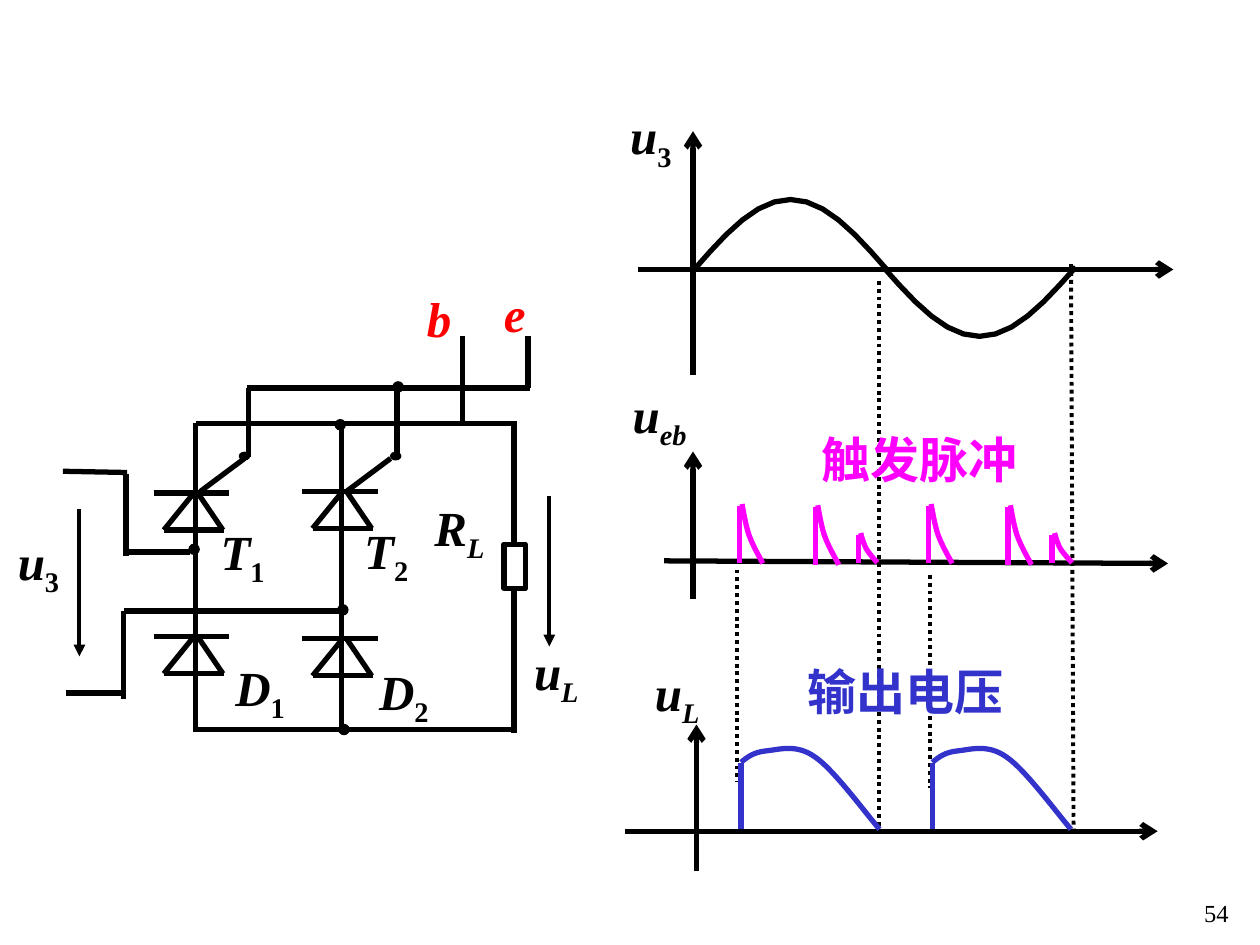
from math import pi, sin

from lxml import etree
from pptx import Presentation
from pptx.dml.color import RGBColor
from pptx.enum.dml import MSO_LINE
from pptx.enum.shapes import MSO_CONNECTOR, MSO_SHAPE
from pptx.enum.text import MSO_ANCHOR, MSO_AUTO_SIZE, PP_ALIGN
from pptx.oxml.ns import qn
from pptx.util import Pt

STRAIGHT = MSO_CONNECTOR.STRAIGHT
OVAL, RECTANGLE = MSO_SHAPE.OVAL, MSO_SHAPE.RECTANGLE
DOTTED = MSO_LINE.ROUND_DOT
TOP, MIDDLE = MSO_ANCHOR.TOP, MSO_ANCHOR.MIDDLE
LEFT, CENTER, RIGHT = PP_ALIGN.LEFT, PP_ALIGN.CENTER, PP_ALIGN.RIGHT
GROW, FIXED = MSO_AUTO_SIZE.SHAPE_TO_FIT_TEXT, MSO_AUTO_SIZE.NONE

COLORS = {name: RGBColor.from_string(value) for name, value in {
    "ink": "000000", "paper": "FFFFFF", "pulse": "FF00FF",
    "output": "3333CC", "terminal": "FF0000",
}.items()}

deck = Presentation()
deck.slide_width, deck.slide_height = Pt(720), Pt(540)
page = deck.slides.add_slide(deck.slide_layouts[6])


def add_label(text, left, top, width, height, sub="", color="ink", size=28, bold=True,
              italic=True, sub_italic=False, align=CENTER, anchor=MIDDLE, wrap=False, fit=GROW):
    box = page.shapes.add_textbox(Pt(left), Pt(top), Pt(width), Pt(height))
    frame = box.text_frame
    frame.word_wrap, frame.auto_size, frame.vertical_anchor = wrap, fit, anchor
    para = frame.paragraphs[0]
    para.alignment = align
    for part, slanted, baseline in ((text, italic, None), (sub, sub_italic, "-25000")):
        if not part:
            continue
        span = para.add_run()
        span.text = part
        font = span.font
        font.name, font.size, font.bold, font.italic = "Times New Roman", Pt(size), bold, slanted
        font.color.rgb = COLORS[color]
        if baseline:
            font._element.set("baseline", baseline)


def add_line(x1, y1, x2, y2, color="ink", width=3, dash=None, arrow=None):
    line = page.shapes.add_connector(STRAIGHT, Pt(x1), Pt(y1), Pt(x2), Pt(y2))
    line.line.color.rgb, line.line.width = COLORS[color], Pt(width)
    if dash:
        line.line.dash_style = dash
    if arrow:
        etree.SubElement(line.line._get_or_add_ln(), qn("a:tailEnd"), type=arrow)
    etree.SubElement(line._element.spPr, qn("a:effectLst"))


# Dotted guides between the three graphs
for ends in ((502.5, 160.5, 502.5, 475), (612, 151, 613.5, 475),
             (421, 325.5, 421, 447), (531.5, 328.5, 531.5, 450)):
    add_line(*ends, width=2.25, dash=DOTTED)

# Graph axes
for ends in ((364.5, 154, 670.5, 154), (396, 214.5, 396, 75),
             (379.5, 320.5, 667.5, 322), (396, 342, 396, 258),
             (357, 475, 661.5, 475), (398, 498, 398, 414)):
    add_line(*ends, arrow="arrow")

# Curves: (points, colour, whether the points are Bezier controls)
curves = []
for left, base, height in ((396.7, 154, -40), (504.7, 152.6, 39.6)):
    points = [(left + 110 * k / 12, base + height * sin(pi * k / 12)) for k in range(13)]
    curves.append((points, "ink", False))

DECAY = ((0, 0), (0.06, 0.13), (0.14, 0.28), (0.26, 0.44), (0.42, 0.65), (0.88, 0.91), (1, 1))
for left, top, width, height in (
        (424.1, 288, 11.8, 34), (467.3, 288.7, 12, 34), (491.8, 304.6, 9.5, 17),
        (532.1, 288, 12, 34), (577.4, 288.7, 12, 34), (602.6, 304.6, 10, 17)):
    curves.append(([(left + width * x, top + height * y) for x, y in DECAY], "pulse", True))
    add_line(left - 1.4, top + 1, left - 1.4, top + height, color="pulse")

LOBE = ((0, 0), (3.6, -2.9), (7.2, -5.8), (14.4, -6.5), (21.6, -7.2),
        (31.7, -10.8), (42.5, -2.9), (53.3, 4.3), (72.7, 31), (79.2, 38.2))
for left in (423.4, 532.8):
    curves.append(([(left + x, 435.6 + y) for x, y in LOBE], "output", True))
    add_line(left, 436.3, left, 473.8, color="output")

for points, color, is_bezier in curves:
    points = [(Pt(x), Pt(y)) for x, y in points]
    builder = page.shapes.build_freeform(*points[0], scale=1.0)
    builder.add_line_segments(points[1:], close=False)
    curve = builder.convert_to_shape()
    curve.shadow.inherit = False
    curve.fill.background()
    curve.line.color.rgb, curve.line.width = COLORS[color], Pt(3)
    if is_bezier:
        outline = curve._element.xpath(".//a:path")[0]
        segments = outline.findall(qn("a:lnTo"))
        for start in range(0, len(segments), 3):
            bend = etree.SubElement(outline, qn("a:cubicBezTo"))
            for segment in segments[start:start + 3]:
                bend.append(segment[0])
                outline.remove(segment)

# Circuit wires
for ends in (
        (293.8, 241, 293.8, 419), (38, 396, 71.3, 396), (72.7, 270, 36, 269.3),
        (72, 270.7, 72, 317.5), (108.7, 315.4, 72.7, 315.4),
        (194.4, 349.2, 70.6, 349.2), (70.6, 349.2, 70.6, 399.6),
        (110.2, 416.9, 295.2, 416.9), (112.3, 241.9, 295.2, 241.9),
        (111.6, 241.9, 111.6, 416.9), (195.1, 244, 195.1, 419),
        (198, 280.8, 223.2, 262), (114.5, 280.8, 139.7, 262),
        (141.8, 221.8, 141.8, 261.4), (226.8, 223.2, 226.8, 259.2),
        (141.1, 221.8, 303.1, 221.8), (264.2, 241.2, 264.2, 192.2),
        (301.7, 221.8, 301.7, 192.2)):
    add_line(*ends)

# Thyristors and diodes
for left, top in ((87.8, 281.7), (172.8, 280.8), (87.8, 363.8), (172.8, 365)):
    for x1, y1, x2, y2 in ((0, 0, 43.2, 0), (23.8, -1, 5.8, 21.2),
                           (5.8, 21.2, 40.3, 21.2), (25.2, 0, 39.6, 21.2)):
        add_line(left + x1, top + y1, left + x2, top + y2)

# Voltage arrows
add_line(45.4, 290.9, 45.4, 375.1, width=2.25, arrow="triangle")
add_line(313.9, 283.7, 313.9, 369.4, width=2.25, arrow="triangle")

# Junction dots and load resistor
for kind, left, top, width, height, fill, weight in (
        (OVAL, 223.2, 258.5, 5.8, 4.3, "ink", 0.75),
        (OVAL, 136.8, 258.5, 5.8, 4.3, "ink", 0.75),
        (OVAL, 224.6, 218.2, 5.8, 5.8, "ink", 0.75),
        (OVAL, 108, 311, 5.8, 5.8, "ink", 0.75),
        (OVAL, 193, 345.6, 5.8, 5.8, "ink", 0.75),
        (OVAL, 193.7, 414, 5.8, 5.8, "ink", 0.75),
        (OVAL, 191.5, 239.8, 5.8, 5.8, "ink", 0.75),
        (RECTANGLE, 288, 311, 12.2, 25.2, "paper", 3)):
    part = page.shapes.add_shape(kind, Pt(left), Pt(top), Pt(width), Pt(height))
    part.shadow.inherit = False
    part.fill.solid()
    part.fill.fore_color.rgb = COLORS[fill]
    part.line.color.rgb, part.line.width = COLORS["ink"], Pt(weight)

# Symbols with subscripts
for symbol, sub, left, top, width in (
        ("u", "3", 352.8, 56.9, 38.2), ("u", "3", 2.9, 300.2, 38.2),
        ("T", "1", 118.8, 294.5, 39.6), ("T", "2", 200.9, 293.8, 39.6),
        ("D", "1", 127.4, 372.2, 42.5), ("D", "2", 209.5, 374.4, 42.5)):
    add_label(symbol, left, top, width, 45.4, sub=sub)
add_label("u", 354.2, 216, 45.4, 45.4, sub="eb", sub_italic=True)
for symbol, left, top, width in (("u", 367.2, 375.1, 44), ("u", 298.1, 362.9, 44),
                                 ("R", 241.2, 280.8, 48.2)):
    add_label(symbol, left, top, width, 45.4, sub="L", sub_italic=True,
              align=LEFT, anchor=TOP, wrap=True)

# Terminals, captions and page number
add_label("b", 236.9, 161.3, 28.1, 41, color="terminal")
add_label("e", 280.8, 158.4, 26.6, 41, color="terminal")
add_label("触发脉冲", 462.2, 241.9, 126, 41, color="pulse", italic=False)
add_label("输出电压", 454.3, 374.4, 126, 41, color="output", italic=False)
add_label("54", 559.4, 509.8, 149.8, 36, size=14, bold=False, italic=False,
          align=RIGHT, anchor=TOP, wrap=True, fit=FIXED)

deck.save("out.pptx")
